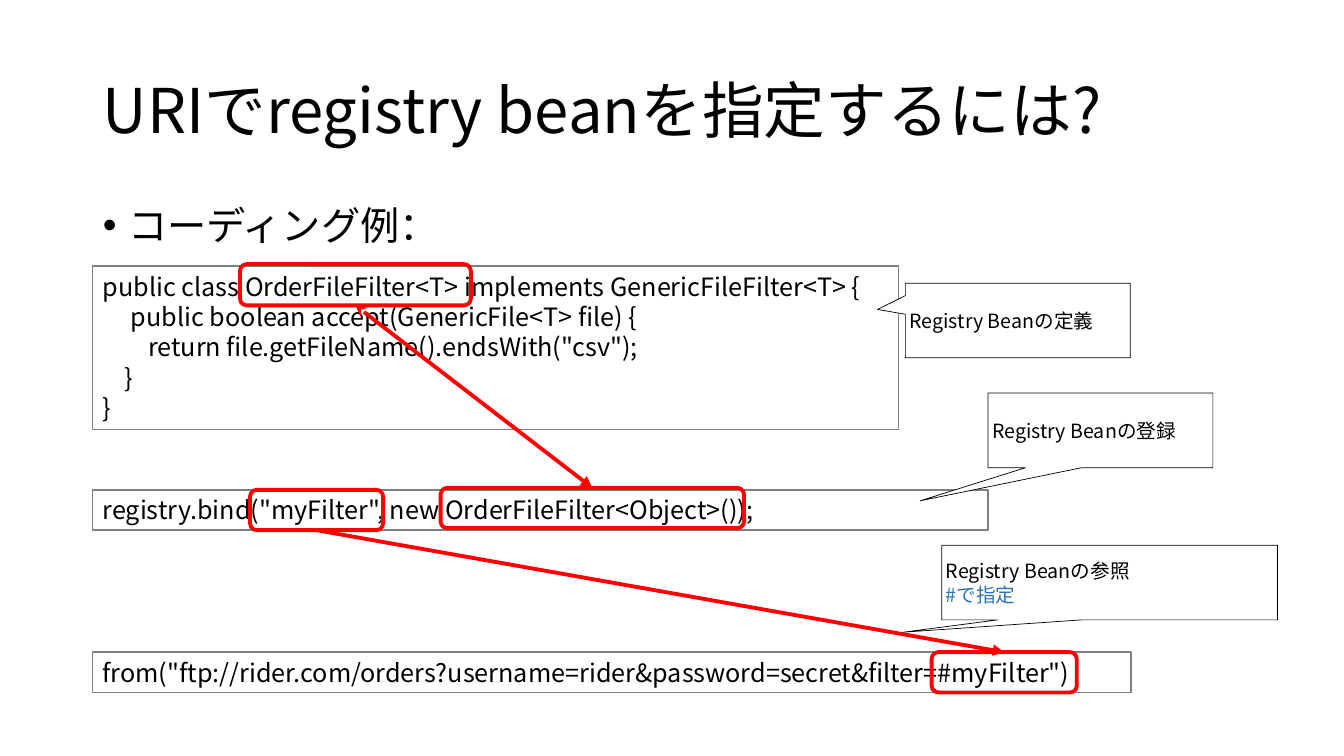
import pptx
import pptx.util
import pptx.dml.color
import pptx.enum.shapes
import pptx.enum.text
import pptx.oxml
import pptx.oxml.ns

Inches, Pt = pptx.util.Inches, pptx.util.Pt
RGBColor = pptx.dml.color.RGBColor
SHAPE = pptx.enum.shapes.MSO_SHAPE
ANCHOR = pptx.enum.text.MSO_ANCHOR
LEFT_ALIGN = pptx.enum.text.PP_ALIGN.LEFT

FONT = "Noto Sans CJK JP"
BLACK = RGBColor(0x00, 0x00, 0x00)
WHITE = RGBColor(0xFF, 0xFF, 0xFF)
GRAY = RGBColor(0x80, 0x80, 0x80)
RED = RGBColor(0xFF, 0x00, 0x00)
BLUE = RGBColor(0x2E, 0x75, 0xB6)

# Content: each line is (text, colour, indent in inches)
TITLE = "URIでregistry beanを指定するには?"
BULLET = "コーディング例："
CODE_BLOCKS = [
    ((0.92, 2.64, 7.99, 1.62), [
        ("public class OrderFileFilter<T> implements GenericFileFilter<T> {", BLACK, 0),
        ("public boolean accept(GenericFile<T> file) {", BLACK, 0.28),
        ("return file.getFileName().endsWith(\"csv\");", BLACK, 0.45),
        ("}", BLACK, 0.22),
        ("}", BLACK, 0),
    ]),
    ((0.92, 4.86, 8.88, 0.4), [
        ("registry.bind(\"myFilter\", new OrderFileFilter<Object>());", BLACK, 0)]),
    ((0.92, 6.47, 10.3, 0.4), [
        ("from(\"ftp://rider.com/orders?username=rider&password=secret&filter=#myFilter\")",
         BLACK, 0)]),
]
HIGHLIGHTS = {
    "class": (2.38, 2.62, 2.29, 0.41),
    "instance": (4.37, 4.84, 3.01, 0.4),
    "bean name": (2.48, 4.86, 1.32, 0.4),
    "reference": (9.24, 6.47, 1.44, 0.4),
}
LINKS = [("class", "instance", "stealth"), ("bean name", "reference", None)]
CALLOUTS = [  # place, pointer tip, lines
    ((9.34, 5.41, 3.33, 0.74), (-0.614, 0.665),
     [("Registry Beanの参照", BLACK, 0), ("#で指定", BLUE, 0)]),
    ((8.98, 2.81, 2.23, 0.74), (-0.624, -0.148), [("Registry Beanの定義", BLACK, 0)]),
    ((9.8, 3.9, 2.23, 0.74), (-0.802, 0.944), [("Registry Beanの登録", BLACK, 0)]),
]


def add_xml(parent, tag, **attributes):
    element = pptx.oxml.parse_xml(f"<a:{tag} {pptx.oxml.ns.nsdecls('a')}/>")
    for key, value in attributes.items():
        element.set(key, value)
    parent.append(element)


def write(paragraph, text, size, color):
    run = paragraph.add_run()
    run.text = text
    run.font.size = Pt(size)
    run.font.color.rgb = color
    run.font.name = FONT
    add_xml(run.font._element, "ea", typeface=FONT)
    paragraph.alignment = LEFT_ALIGN


def write_lines(frame, lines, size):
    for number, (text, color, indent) in enumerate(lines):
        paragraph = frame.add_paragraph() if number else frame.paragraphs[0]
        write(paragraph, text, size, color)
        if indent:
            paragraph._p.get_or_add_pPr().set("marL", str(Inches(indent)))


def place(shape, box):
    shape.left, shape.top, shape.width, shape.height = map(Inches, box)


def add_box(kind, box, line_color, line_width, fill=None):
    shape = slide.shapes.add_shape(kind, *map(Inches, box))
    shape.shadow.inherit = False
    if fill is None:
        shape.fill.background()
    else:
        shape.fill.solid()
        shape.fill.fore_color.rgb = fill
    shape.line.color.rgb = line_color
    shape.line.width = Pt(line_width)
    return shape


presentation = pptx.Presentation()
presentation.slide_width, presentation.slide_height = Inches(13.33), Inches(7.5)
slide = presentation.slides.add_slide(presentation.slide_layouts[1])

# Title and bullet
title, body = slide.placeholders
place(title, (0.92, 0.4, 11.5, 1.45))
place(body, (0.92, 2, 11.5, 4.76))
title.text_frame.vertical_anchor = ANCHOR.MIDDLE
for placeholder, text, size in ((title, TITLE, 44), (body, BULLET, 28)):
    heading = placeholder.text_frame.paragraphs[0]
    write(heading, text, size, BLACK)
    heading.line_spacing = 0.9
heading.space_before = Pt(10)
bullet_format = heading._p.get_or_add_pPr()
bullet_format.set("marL", str(Inches(0.25)))
bullet_format.set("indent", str(Inches(-0.25)))
add_xml(bullet_format, "buChar", char="•")

# Code blocks
for box, lines in CODE_BLOCKS:
    code = add_box(SHAPE.RECTANGLE, box, GRAY, 1)
    code.text_frame.vertical_anchor = ANCHOR.TOP
    code.text_frame.word_wrap = len(lines) == 1
    write_lines(code.text_frame, lines, 18)

# Highlights and the arrows that join them
frames = {name: add_box(SHAPE.ROUNDED_RECTANGLE, box, RED, 2.75)
          for name, box in HIGHLIGHTS.items()}
for source, target, head in LINKS:
    arrow = slide.shapes.add_connector(pptx.enum.shapes.MSO_CONNECTOR.STRAIGHT, 0, 0, 0, 0)
    arrow.begin_connect(frames[source], 2)
    arrow.end_connect(frames[target], 0)
    arrow.line.color.rgb = RED
    arrow.line.width = Pt(2.75)
    line_format = arrow.line._get_or_add_ln()
    if head:
        add_xml(line_format, "headEnd", type=head)
    add_xml(line_format, "tailEnd", type="triangle")
    add_xml(arrow._element.spPr, "effectLst")

# Callouts
for box, tip, lines in CALLOUTS:
    callout = add_box(SHAPE.RECTANGULAR_CALLOUT, box, BLACK, 0.5, WHITE)
    callout.adjustments[0], callout.adjustments[1] = tip
    note = callout.text_frame
    note.margin_left = note.margin_right = note.margin_top = note.margin_bottom = Inches(0.04)
    note.vertical_anchor = ANCHOR.MIDDLE
    note.word_wrap = True
    write_lines(note, lines, 14)

presentation.save("out.pptx")
